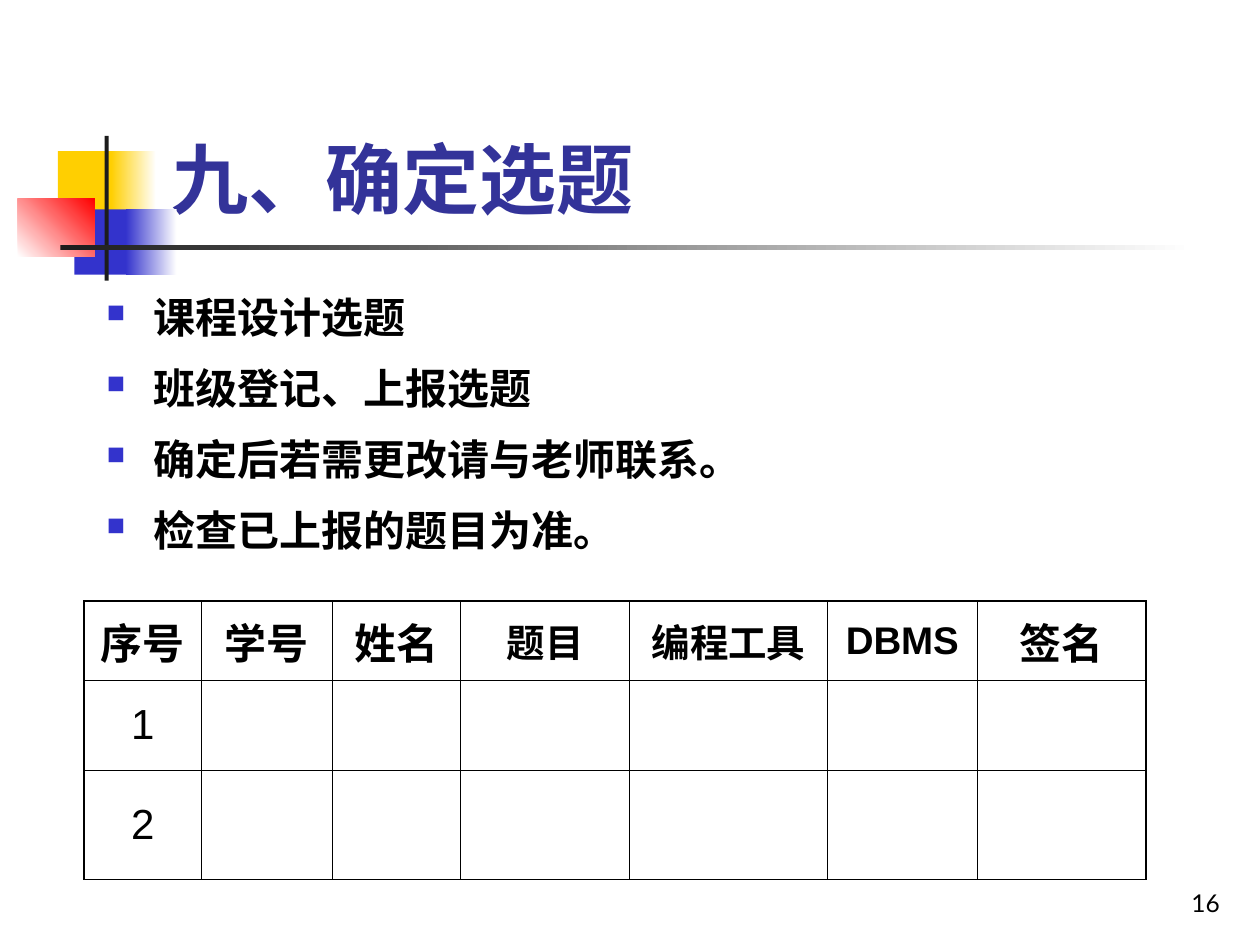
from lxml import etree
from pptx import Presentation
from pptx.dml.color import RGBColor
from pptx.enum.shapes import MSO_SHAPE
from pptx.enum.text import MSO_ANCHOR, PP_ALIGN
from pptx.oxml.ns import qn
from pptx.util import Cm, Pt

RECTANGLE = MSO_SHAPE.RECTANGLE
MIDDLE, BOTTOM = MSO_ANCHOR.MIDDLE, MSO_ANCHOR.BOTTOM
CENTER, RIGHT = PP_ALIGN.CENTER, PP_ALIGN.RIGHT

COLORS = {
    "yellow": "FFCF01", "blue": "3333CC", "red": "FF0000", "dark": "1C1C1C",
    "white": "FFFFFF", "title": "333399", "black": "000000",
}
HEADING = "九、确定选题"
PAGE_NUMBER = "16"
BULLETS = ["课程设计选题", "班级登记、上报选题", "确定后若需更改请与老师联系。", "检查已上报的题目为准。"]
# heading, column width in cm, heading size in points
COLUMNS = [
    ("序号", 2.36, 24), ("学号", 2.64, 24), ("姓名", 2.59, 24), ("题目", 3.4, 22),
    ("编程工具", 3.99, 22), ("DBMS", 3.02, 22), ("签名", 3.4, 24),
]
ROW_LABELS = ["1", "2"]
ROW_HEIGHTS = [1.6, 1.8, 2.21]
# left, top, width, height in cm, then one fill colour or start, end and angle
ORNAMENT = [
    ((1.17, 3.05, 1.22, 1.32), ("yellow",)),
    ((2.24, 3.05, 0.91, 1.32), ("yellow", "white", 0)),
    ((1.5, 4.22, 1.17, 1.32), ("blue",)),
    ((2.54, 4.22, 1.02, 1.32), ("blue", "white", 0)),
    ((0.36, 4.01, 1.55, 1.17), ("white", "red", 45)),
    ((2.11, 2.74, 0.08, 2.92), ("dark",)),
    ((1.22, 4.94, 22.86, 0.1), ("dark", "white", 0)),
]
OUTER_LINE, INNER_LINE = Pt(1.08), Pt(0.45)


def rgb(name):
    return RGBColor.from_string(COLORS[name])


def box(*lengths):
    return [Cm(length) for length in lengths]


def format_font(font, size, name, color="black", bold=False):
    font.size, font.name, font.bold = Pt(size), name, bold
    font.color.rgb = rgb(color)


def add_ornament(slide):
    for place, paint in ORNAMENT:
        block = slide.shapes.add_shape(RECTANGLE, *box(*place))
        block.shadow.inherit = False
        block.line.fill.background()
        if len(paint) == 1:
            block.fill.solid()
            block.fill.fore_color.rgb = rgb(paint[0])
        else:
            start, end, angle = paint
            block.fill.gradient()
            block.fill.gradient_angle = angle
            for stop, color in zip(block.fill.gradient_stops, (start, end)):
                stop.color.rgb = rgb(color)


def add_title(slide):
    title = slide.shapes.title
    title.left, title.top, title.width, title.height = box(3.2, 0.58, 21.64, 4.06)
    frame = title.text_frame
    frame.text = HEADING
    frame.vertical_anchor = BOTTOM
    heading = frame.paragraphs[0]
    heading.alignment = PP_ALIGN.LEFT
    format_font(heading.runs[0].font, 44, "Lato", "title", True)


def add_bullet(paragraph):
    properties = paragraph._p.get_or_add_pPr()
    properties.set("marL", str(Cm(0.95)))
    properties.set("indent", str(-Cm(0.95)))
    color = etree.SubElement(properties, qn("a:buClr"))
    etree.SubElement(color, qn("a:srgbClr"), val=COLORS["blue"])
    etree.SubElement(properties, qn("a:buSzPct"), val="60000")
    etree.SubElement(properties, qn("a:buChar"), char="■")


def add_bullets(slide):
    frame = slide.shapes.add_textbox(*box(1.9, 5.54, 21.41, 5.99)).text_frame
    frame.word_wrap = True
    frame.text = "\n".join(BULLETS)
    for index, paragraph in enumerate(frame.paragraphs):
        add_bullet(paragraph)
        paragraph.line_spacing = 1.2
        paragraph.space_before = Pt(6 if index else 0)
        format_font(paragraph.runs[0].font, 24, "Lato", bold=True)


def set_borders(cell, outer_sides):
    """Draw all four borders, thicker on the sides at the table's edge."""
    properties = cell._tc.get_or_add_tcPr()
    for side in "LRTB":
        width = OUTER_LINE if side in outer_sides else INNER_LINE
        line = etree.SubElement(properties, qn(f"a:ln{side}"), w=str(width))
        fill = etree.SubElement(line, qn("a:solidFill"))
        etree.SubElement(fill, qn("a:srgbClr"), val=COLORS["black"])


def add_topic_table(slide):
    headings, widths, sizes = zip(*COLUMNS)
    rows = [headings] + [(label,) + ("",) * (len(COLUMNS) - 1) for label in ROW_LABELS]
    table = slide.shapes.add_table(
        len(rows), len(COLUMNS), *box(1.7, 12.12, sum(widths), sum(ROW_HEIGHTS))).table
    table.first_row = table.horz_banding = False
    for column, width in zip(table.columns, widths):
        column.width = Cm(width)
    for row, height in zip(table.rows, ROW_HEIGHTS):
        row.height = Cm(height)

    last_row, last_column = len(rows) - 1, len(COLUMNS) - 1
    for r, texts in enumerate(rows):
        for c, text in enumerate(texts):
            cell = table.cell(r, c)
            edges = {"L": c == 0, "R": c == last_column, "T": r == 0, "B": r == last_row}
            set_borders(cell, [side for side, at_edge in edges.items() if at_edge])
            cell.fill.background()
            cell.vertical_anchor = MIDDLE
            cell.text = text
            paragraph = cell.text_frame.paragraphs[0]
            paragraph.alignment = CENTER
            for run in paragraph.runs:
                format_font(run.font, 24 if r else sizes[c], "Arial", bold=r == 0)


def add_page_number(slide):
    frame = slide.shapes.add_textbox(*box(19.56, 17.35, 5.28, 1.27)).text_frame
    frame.word_wrap = True
    frame.vertical_anchor = BOTTOM
    frame.text = PAGE_NUMBER
    frame.paragraphs[0].alignment = RIGHT
    format_font(frame.paragraphs[0].runs[0].font, 14, "Lato")


def main():
    presentation = Presentation()
    presentation.slide_width, presentation.slide_height = box(25.4, 19.05)
    slide = presentation.slides.add_slide(presentation.slide_layouts[5])
    add_ornament(slide)
    add_page_number(slide)
    add_title(slide)
    add_bullets(slide)
    add_topic_table(slide)
    presentation.save("out.pptx")


if __name__ == "__main__":
    main()
